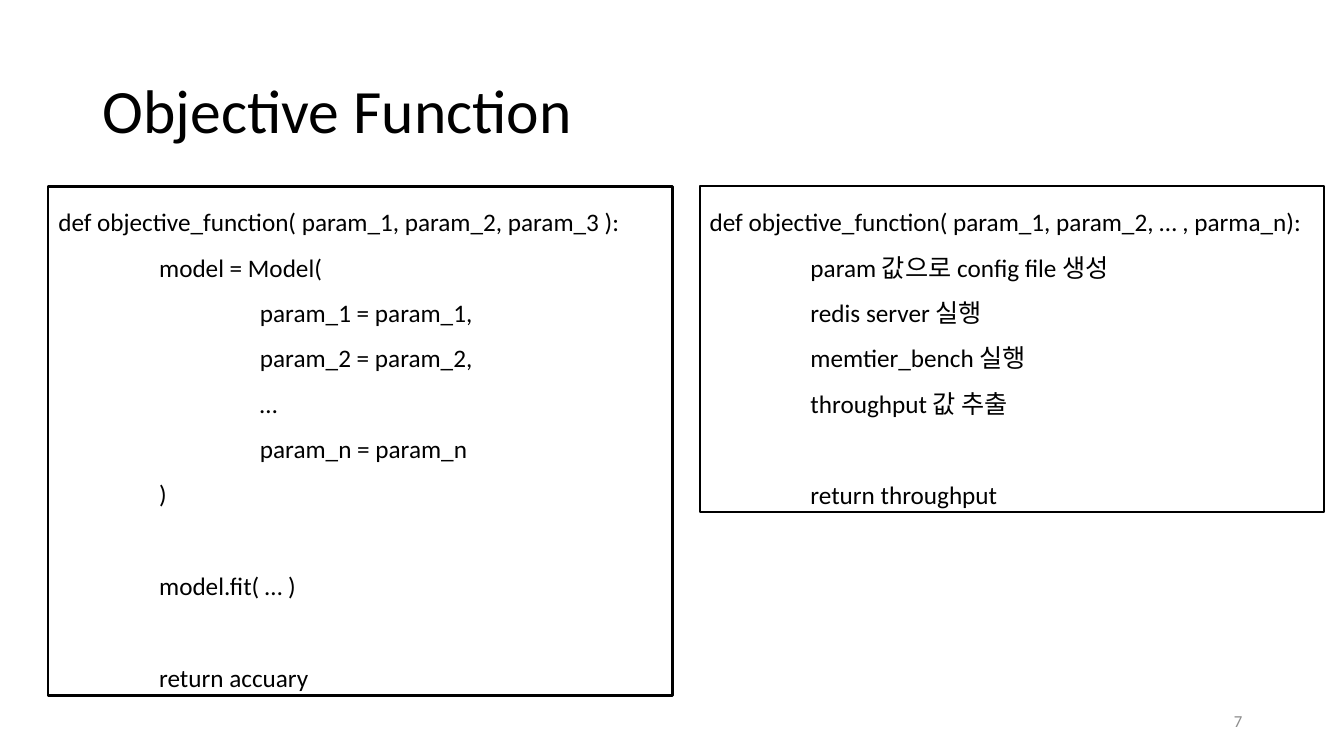
"""Build the Objective Function slide with two code boxes."""
from dataclasses import dataclass

from lxml import etree
from pptx import Presentation
from pptx import util as u
from pptx.dml import color
from pptx.enum import shapes, text
from pptx.oxml import ns

FONT = "Calibri"
BLACK = "000000"
GREY = "8C8C8C"
TAB = 100
BLANK_LINE = 33
BOX_TOP, BOX_WIDTH = 185, 619


@dataclass
class CodeBox:
    left: int
    height: int
    groups: list[str]


CODE_BOXES = [
    CodeBox(48, 505, [
        "def objective_function( param_1, param_2, param_3 ):\n"
        "\tmodel = Model(\n"
        "\t\tparam_1 = param_1,\n"
        "\t\tparam_2 = param_2,\n"
        "\t\t…\n"
        "\t\tparam_n = param_n\n"
        "\t)",
        "\tmodel.fit( … )",
        "\treturn accuary",
    ]),
    CodeBox(694, 323, [
        "def objective_function( param_1, param_2, … , parma_n):\n"
        "\tparam 값으로 config file 생성\n"
        "\tredis server 실행\n"
        "\tmemtier_bench 실행\n"
        "\tthroughput 값 추출",
        "\treturn throughput",
    ]),
]


def px(n: int) -> u.Emu:
    """Turn px, 100 to the inch, into EMU."""
    return u.Emu(n * 9144)


def rgb(value: str) -> color.RGBColor:
    """Turn a hex string into a colour."""
    return color.RGBColor.from_string(value)


def format_runs(p, size: int, colour: str) -> None:
    """Set the font of every run in a paragraph."""
    for r in p.runs:
        r.font.name = FONT
        r.font.size = u.Pt(size)
        r.font.color.rgb = rgb(colour)


def add_tab_stops(p) -> None:
    """Give a paragraph its two code indents."""
    tabs = etree.SubElement(p._p.get_or_add_pPr(), ns.qn("a:tabLst"))
    for depth in (1, 2):
        etree.SubElement(tabs, ns.qn("a:tab"), pos=str(px(depth * TAB)), algn="l")


def add_title(s, title: str) -> None:
    """Fill and place the title placeholder."""
    sp = s.shapes.title
    sp.left, sp.top, sp.width, sp.height = px(92), px(40), px(1150), px(145)
    tf = sp.text_frame
    tf.text = title
    tf.auto_size = text.MSO_AUTO_SIZE.NONE
    tf.vertical_anchor = text.MSO_ANCHOR.MIDDLE
    p = tf.paragraphs[0]
    p.alignment = text.PP_ALIGN.LEFT
    p.line_spacing = 0.9
    format_runs(p, 44, BLACK)


def add_code_box(s, box: CodeBox) -> None:
    """Draw an outlined box of code, with a gap between its groups."""
    sp = s.shapes.add_shape(shapes.MSO_SHAPE.RECTANGLE, px(box.left),
                            px(BOX_TOP), px(BOX_WIDTH), px(box.height))
    sp.shadow.inherit = False
    sp.fill.background()
    sp.line.color.rgb = rgb(BLACK)
    sp.line.width = u.Pt(1.5)
    tf = sp.text_frame
    tf.word_wrap = True
    tf.auto_size = text.MSO_AUTO_SIZE.SHAPE_TO_FIT_TEXT
    tf.vertical_anchor = text.MSO_ANCHOR.TOP
    tf.text = "\n".join(box.groups)
    starts = {sum(g.count("\n") + 1 for g in box.groups[:i])
              for i in range(1, len(box.groups))}
    for i, p in enumerate(tf.paragraphs):
        p.alignment = text.PP_ALIGN.LEFT
        p.line_spacing = 1.5
        if i in starts:
            p.space_before = u.Pt(BLANK_LINE)
        add_tab_stops(p)
        format_runs(p, 18, BLACK)


def add_page_number(s, number: str) -> None:
    """Write the page number at the bottom right."""
    tf = s.shapes.add_textbox(px(942), px(695), px(300), px(40)).text_frame
    tf.word_wrap = True
    tf.vertical_anchor = text.MSO_ANCHOR.MIDDLE
    tf.text = number
    p = tf.paragraphs[0]
    p.alignment = text.PP_ALIGN.RIGHT
    format_runs(p, 12, GREY)


def main() -> None:
    """Build and save the slide."""
    prs = Presentation()
    prs.slide_width, prs.slide_height = px(1333), px(750)
    s = prs.slides.add_slide(prs.slide_layouts[5])
    add_title(s, "Objective Function")
    add_page_number(s, "7")
    for box in CODE_BOXES:
        add_code_box(s, box)
    prs.save("out.pptx")


if __name__ == "__main__":
    main()
